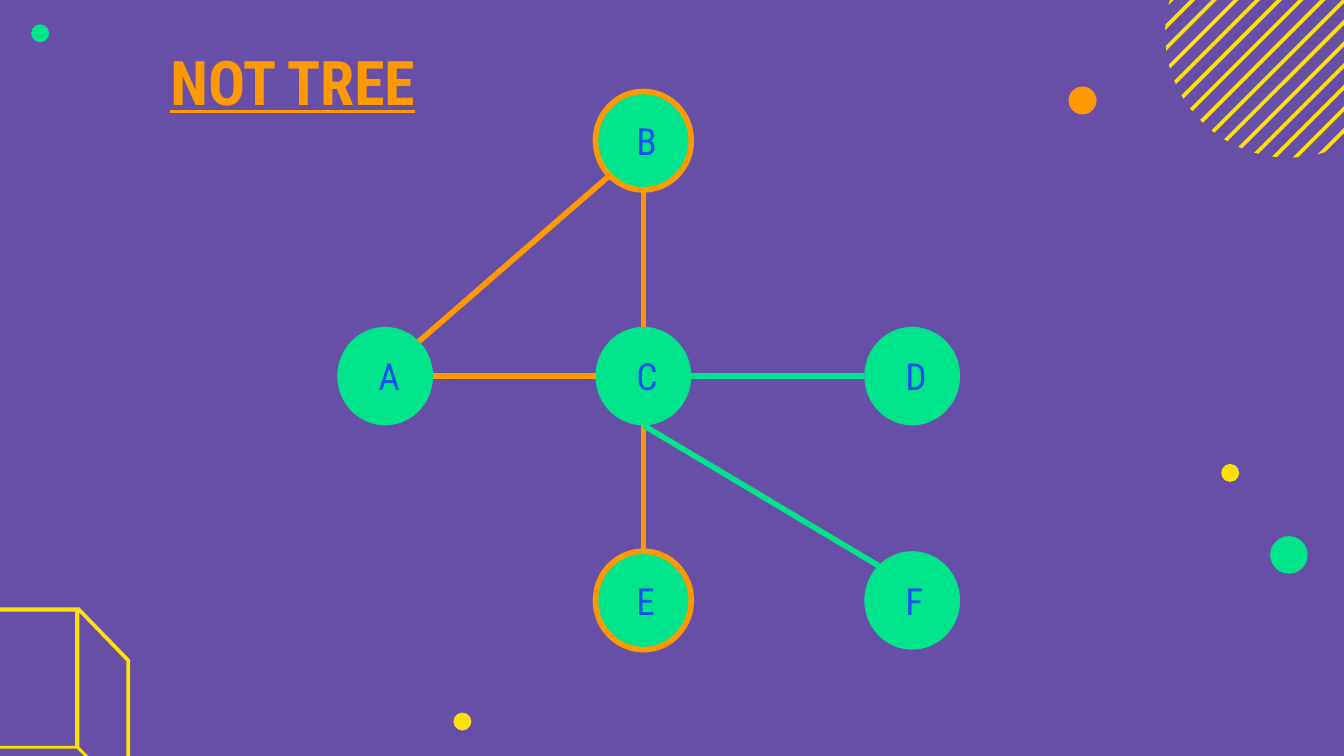
from dataclasses import dataclass
from math import sqrt

from lxml.etree import SubElement
from pptx import Presentation
from pptx.dml.color import RGBColor
from pptx.enum.shapes import MSO_CONNECTOR as Connector, MSO_SHAPE as Preset
from pptx.enum.text import MSO_ANCHOR as Anchor, MSO_AUTO_SIZE as AutoSize, PP_ALIGN as Align
from pptx.oxml.ns import qn
from pptx.util import Cm, Pt

COLORS = {
    "purple": "674EA7",
    "yellow": "FBE106",
    "orange": "FF9900",
    "green": "00E58B",
    "blue": "1750EB",
}
FONT = "Roboto Condensed"
NODE_WIDTH, NODE_HEIGHT = 1.81, 1.86
LINE_WIDTH = Pt(3)

Point = tuple[float, float]


@dataclass
class Dot:
    x: float
    y: float
    diameter: float
    color: str


@dataclass
class Node:
    x: float
    y: float
    outlined: bool = False

    def anchor(self, direction: Point) -> Point:
        """Point on the ellipse in a compass direction such as (1, 0) or (1, -1)."""
        across, down = direction
        length = sqrt(across**2 + down**2)
        return (self.x + across / length * NODE_WIDTH / 2,
                self.y + down / length * NODE_HEIGHT / 2)


@dataclass
class Edge:
    start: str
    start_side: Point
    end: str
    end_side: Point
    color: str


UP, DOWN, LEFT, RIGHT = (0, -1), (0, 1), (-1, 0), (1, 0)
UP_LEFT, UP_RIGHT, DOWN_LEFT = (-1, -1), (1, -1), (-1, 1)

DOTS = [
    Dot(8.74, 13.64, 0.34, "yellow"),
    Dot(23.25, 8.94, 0.34, "yellow"),
    Dot(20.46, 1.9, 0.53, "orange"),
    Dot(24.36, 10.49, 0.71, "green"),
    Dot(0.76, 0.63, 0.34, "green"),
]
COLUMNS = (7.28, 12.16, 17.24)
ROWS = (2.66, 7.11, 11.35)
NODES = {
    "A": Node(COLUMNS[0], ROWS[1]),
    "C": Node(COLUMNS[1], ROWS[1]),
    "D": Node(COLUMNS[2], ROWS[1]),
    "B": Node(COLUMNS[1], ROWS[0], outlined=True),
    "E": Node(COLUMNS[1], ROWS[2], outlined=True),
    "F": Node(COLUMNS[2], ROWS[2]),
}
EDGES = [
    Edge("A", RIGHT, "C", LEFT, "orange"),
    Edge("C", RIGHT, "D", LEFT, "green"),
    Edge("E", UP, "C", DOWN, "orange"),
    Edge("F", UP_LEFT, "C", DOWN, "green"),
    Edge("A", UP_RIGHT, "B", DOWN_LEFT, "orange"),
    Edge("C", UP, "B", DOWN, "orange"),
]
CUBE = [
    [(-1.19, 11.48), (-1.19, 14.15), (-0.2, 15.14), (2.46, 15.14), (2.46, 12.47), (1.5, 11.48)],
    [(1.42, 11.56), (1.42, 14.1), (-1.12, 14.1), (-1.12, 11.56)],
    [(1.5, 11.58), (2.39, 12.5), (2.39, 15.01), (1.5, 14.12)],
    [(1.45, 14.15), (2.36, 15.06), (-0.18, 15.06), (-1.09, 14.15)],
]


def rgb(name: str) -> RGBColor:
    return RGBColor.from_string(COLORS[name])


def paint(shape, color: str) -> None:
    shape.shadow.inherit = False
    shape.fill.solid()
    shape.fill.fore_color.rgb = rgb(color)
    shape.line.fill.background()


def draw_ellipse(shapes, x: float, y: float, width: float, height: float, color: str):
    """Ellipse placed by its centre."""
    ellipse = shapes.add_shape(Preset.OVAL, Cm(x - width / 2), Cm(y - height / 2),
                               Cm(width), Cm(height))
    paint(ellipse, color)
    return ellipse


def draw_outline(shapes, contours: list[list[Point]], color: str) -> None:
    """One filled freeform; contours inside the first one are holes."""
    builder = None
    for contour in contours:
        first, *rest = [(Cm(x), Cm(y)) for x, y in contour]
        if builder is None:
            builder = shapes.build_freeform(*first)
        else:
            builder.move_to(*first)
        builder.add_line_segments(rest, close=True)
    paint(builder.convert_to_shape(), color)


def draw_striped_disc(shapes, x: float, y: float, radius: float,
                      pitch: float, thickness: float) -> None:
    """Rising 45-degree stripes cut off by a circle."""
    group = shapes.add_group_shape()
    for step in range(-7, 8):
        corners = []
        for side in (-1, 1):
            shift = (step * pitch + side * thickness / 2) / 2
            reach = sqrt(radius**2 / 2 - shift**2)
            ends = [(x + shift + reach, y + shift - reach), (x + shift - reach, y + shift + reach)]
            corners += ends[::-side]
        draw_outline(group.shapes, [corners], "yellow")


def draw_node(shapes, label: str, node: Node) -> None:
    ellipse = draw_ellipse(shapes, node.x, node.y, NODE_WIDTH, NODE_HEIGHT, "green")
    if node.outlined:
        ellipse.line.color.rgb = rgb("orange")
        ellipse.line.width = LINE_WIDTH
    box = shapes.add_textbox(Cm(node.x - 0.38), Cm(node.y - 0.68), Cm(0.76), Cm(1.37))
    write(box.text_frame, label, 20, "blue")


def draw_edge(shapes, edge: Edge) -> None:
    start = NODES[edge.start].anchor(edge.start_side)
    end = NODES[edge.end].anchor(edge.end_side)
    connector = shapes.add_connector(Connector.STRAIGHT, *(Cm(value) for value in start + end))
    connector.line.color.rgb = rgb(edge.color)
    connector.line.width = LINE_WIDTH
    SubElement(connector._element.spPr, qn("a:effectLst"))


def write(frame, text: str, size: int, color: str):
    frame.word_wrap = True
    frame.auto_size = AutoSize.SHAPE_TO_FIT_TEXT
    frame.vertical_anchor = Anchor.TOP
    frame.margin_left = frame.margin_right = frame.margin_top = frame.margin_bottom = Cm(0.25)
    paragraph = frame.paragraphs[0]
    paragraph.text = text
    paragraph.alignment = Align.LEFT
    paragraph.font.name = FONT
    paragraph.font.size = Pt(size)
    paragraph.font.color.rgb = rgb(color)
    return paragraph


def main() -> None:
    presentation = Presentation()
    presentation.slide_width, presentation.slide_height = Cm(25.4), Cm(14.29)
    slide = presentation.slides.add_slide(presentation.slide_layouts[5])
    slide.background.fill.solid()
    slide.background.fill.fore_color.rgb = rgb("purple")
    shapes = slide.shapes

    title = shapes.title
    title.left, title.top, title.width, title.height = Cm(2.97), Cm(0.58), Cm(5.51), Cm(1.93)
    heading = write(title.text_frame, "NOT TREE", 33, "orange")
    heading.font.bold = heading.font.underline = True

    draw_outline(shapes, CUBE, "yellow")
    draw_striped_disc(shapes, 24.36, 0.64, radius=2.34, pitch=0.41, thickness=0.1)
    for dot in DOTS:
        draw_ellipse(shapes, dot.x, dot.y, dot.diameter, dot.diameter, dot.color)
    for label, node in NODES.items():
        draw_node(shapes, label, node)
    for edge in EDGES:
        draw_edge(shapes, edge)

    presentation.save("out.pptx")


if __name__ == "__main__":
    main()
